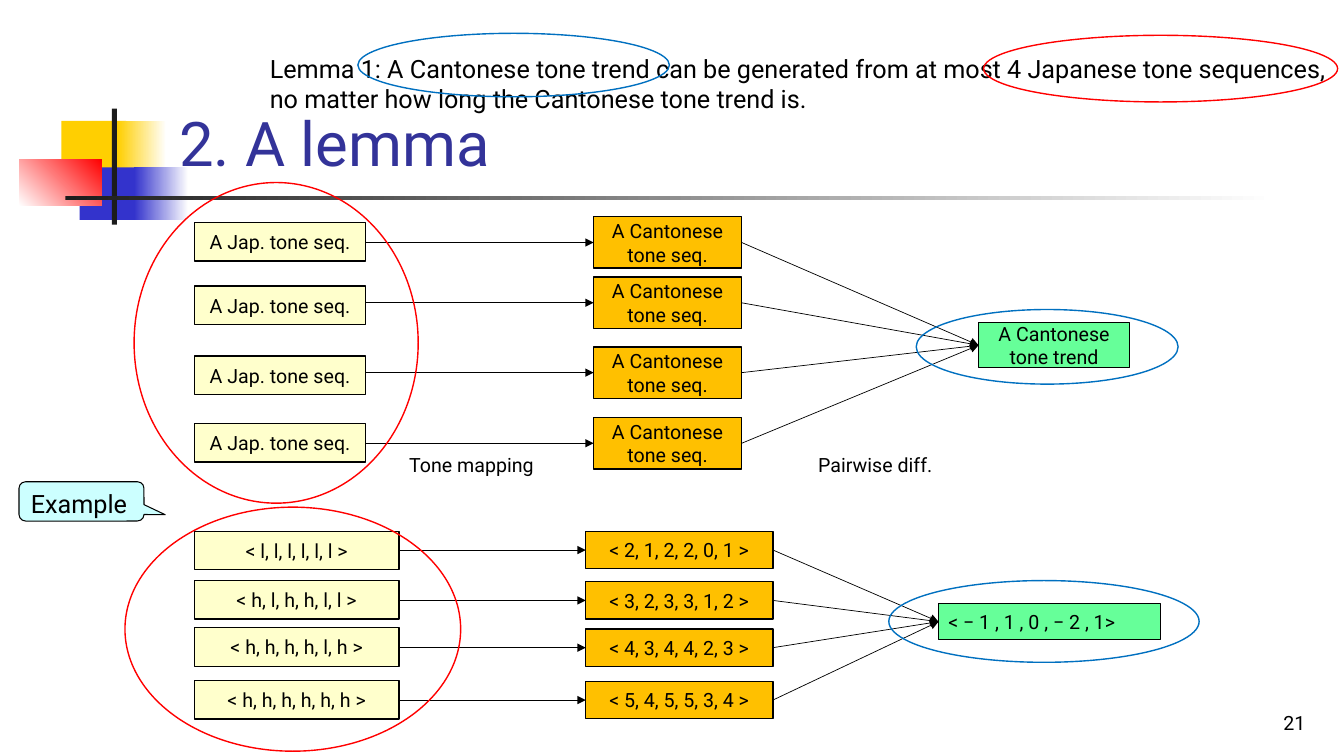
from dataclasses import dataclass
from lxml import etree
from pptx import Presentation
from pptx.dml.color import RGBColor
from pptx.enum.shapes import MSO_CONNECTOR, MSO_SHAPE
from pptx.enum.text import MSO_ANCHOR, PP_ALIGN
from pptx.oxml.ns import qn
from pptx.util import Cm, Pt

RECT, OVAL = MSO_SHAPE.RECTANGLE, MSO_SHAPE.OVAL
CALLOUT = MSO_SHAPE.ROUNDED_RECTANGULAR_CALLOUT
STRAIGHT = MSO_CONNECTOR.STRAIGHT
TOP, MIDDLE, BOTTOM = MSO_ANCHOR.TOP, MSO_ANCHOR.MIDDLE, MSO_ANCHOR.BOTTOM
LEFT, CENTER, RIGHT = PP_ALIGN.LEFT, PP_ALIGN.CENTER, PP_ALIGN.RIGHT


@dataclass(frozen=True)
class Theme:
    font: str = "Roboto"
    title: int = 44
    body: int = 18
    small: int = 14
    ink: str = "000000"
    head: str = "333399"
    white: str = "FFFFFF"
    dark: str = "1C1C1C"
    gold: str = "FFCF01"
    navy: str = "3333CC"
    red: str = "FF0000"
    blue: str = "0070C0"
    cream: str = "FFFFCC"
    amber: str = "FFC000"
    mint: str = "66FF99"
    aqua: str = "CCFFFF"


class Board:
    def __init__(self, slide, theme):
        self.slide = slide
        self.theme = theme

    def label(self, shape, text, size, color, align, anchor):
        frame = shape.text_frame
        frame.word_wrap = True
        frame.vertical_anchor = anchor
        frame.text = text
        para = frame.paragraphs[0]
        para.alignment = align
        font = para.runs[0].font
        font.name, font.size = self.theme.font, Pt(size)
        font.color.rgb = RGBColor.from_string(color)

    def text(self, area, text, size, color=None, align=LEFT, anchor=TOP):
        box = self.slide.shapes.add_textbox(*map(Cm, area))
        self.label(box, text, size, color or self.theme.ink, align, anchor)

    def shape(self, kind, area, fill=None, line=None, width=1):
        item = self.slide.shapes.add_shape(kind, *map(Cm, area))
        item.shadow.inherit = False
        if fill:
            item.fill.solid()
            item.fill.fore_color.rgb = RGBColor.from_string(fill)
        else:
            item.fill.background()
        if line:
            item.line.color.rgb = RGBColor.from_string(line)
            item.line.width = Pt(width)
        else:
            item.line.fill.background()
        return item

    def fade(self, area, start, end, angle=0):
        """Draw a bar whose fill runs from start to end, angle counterclockwise."""
        fill = self.shape(RECT, area).fill
        fill.gradient()
        fill.gradient_angle = angle
        for stop, color in zip(fill.gradient_stops, (start, end)):
            stop.color.rgb = RGBColor.from_string(color)

    def box(self, area, text, fill, align=CENTER):
        item = self.shape(RECT, area, fill, self.theme.ink)
        self.label(item, text, self.theme.small, self.theme.ink, align, MIDDLE)

    def callout(self, area, text, tip):
        item = self.shape(CALLOUT, area, self.theme.aqua, self.theme.ink, 0.75)
        item.adjustments[0], item.adjustments[1] = tip
        self.label(item, text, self.theme.body, self.theme.ink, LEFT, TOP)

    def arrow(self, start, end):
        link = self.slide.shapes.add_connector(STRAIGHT, *map(Cm, start + end))
        link.line.color.rgb = RGBColor.from_string(self.theme.ink)
        link.line.width = Pt(0.5)
        props = link._element.spPr
        tip = etree.SubElement(props.find(qn("a:ln")), qn("a:tailEnd"))
        tip.set("type", "triangle")
        etree.SubElement(props, qn("a:effectLst"))

    def flow(self, first, second, rows, goal, result, align=CENTER):
        """Map source boxes to tone boxes, which all lead to one result.

        first and second hold (left, width, height); a row holds
        (source top, tone top, source text, tone text).
        """
        x1, w1, h1 = first
        x2, w2, h2 = second
        end = (goal[0], goal[1] + goal[3] / 2)
        for y1, y2, source, tone in rows:
            self.box((x1, y1, w1, h1), source, self.theme.cream)
            self.box((x2, y2, w2, h2), tone, self.theme.amber)
            mid = y2 + h2 / 2
            self.arrow((x1 + w1, mid), (x2, mid))
            self.arrow((x2 + w2, mid), end)
        self.box(goal, result, self.theme.mint, align)


def main():
    deck = Presentation()
    deck.slide_width, deck.slide_height = Cm(33.87), Cm(19.05)
    theme = Theme()
    board = Board(deck.slides.add_slide(deck.slide_layouts[6]), theme)

    # Title decoration
    board.shape(RECT, (1.55, 3.05, 1.63, 1.32), theme.gold)
    board.fade((2.97, 3.05, 1.22, 1.32), theme.gold, theme.white)
    board.shape(RECT, (2.01, 4.22, 1.57, 1.32), theme.navy)
    board.fade((3.38, 4.22, 1.37, 1.32), theme.navy, theme.white)
    board.fade((0.48, 4.01, 2.08, 1.17), theme.white, theme.red, 45)
    board.shape(RECT, (2.82, 2.74, 0.13, 2.92), theme.dark)
    board.fade((1.65, 4.95, 30.48, 0.08), theme.dark, theme.white)

    board.text((4.27, 0.58, 28.85, 4.06), "2. A lemma", theme.title,
               theme.head, anchor=BOTTOM)
    board.text((26.09, 17.35, 7.06, 1.27), "21", theme.small,
               align=RIGHT, anchor=BOTTOM)
    board.text((6.55, 1.22, 27.31, 1.8),
               "Lemma 1: A Cantonese tone trend can be generated from at most "
               "4 Japanese tone sequences, no matter how long the Cantonese "
               "tone trend is.", theme.body)

    # General scheme
    tops = ((5.61, 5.46), (7.21, 6.98), (8.97, 8.74), (10.67, 10.52))
    names = ("A Jap. tone seq.", "A Cantonese tone seq.")
    board.flow((4.9, 4.32, 0.97), (14.96, 3.73, 1.3),
               [pair + names for pair in tops],
               (24.66, 8.13, 3.81, 1.14), "A Cantonese tone trend")
    board.text((10.06, 11.3, 4.6, 0.86), "Tone mapping", theme.small)
    board.text((20.37, 11.3, 3.45, 0.86), "Pairwise diff.", theme.small)

    # Worked example
    board.callout((0.48, 12.14, 3.15, 0.99), "Example", (0.67, 0.34))
    board.flow((4.9, 5.16, 0.97), (14.76, 4.72, 0.94), (
        (13.39, 13.39, "< l, l, l, l, l, l >", "< 2, 1, 2, 2, 0, 1 >"),
        (14.63, 14.66, "< h, l, h, h, l, l >", "< 3, 2, 3, 3, 1, 2 >"),
        (15.82, 15.85, "< h, h, h, h, l, h >", "< 4, 3, 4, 4, 2, 3 >"),
        (17.15, 17.17, "< h, h, h, h, h, h >", "< 5, 4, 5, 5, 3, 4 >"),
    ), (23.65, 15.21, 5.59, 0.91), "< − 1 , 1 , 0 , − 2 , 1>", LEFT)

    # Rings: blue for the trend, red for the sequences
    rings = {
        theme.blue: ((9.02, 0.84, 7.85, 1.6), (23.09, 7.8, 6.6, 1.88),
                     (22.4, 14.63, 7.82, 2.06)),
        theme.red: ((3.38, 4.6, 7.16, 8.08), (3.15, 12.78, 8.46, 6.15),
                    (24.79, 0.89, 8.92, 1.68)),
    }
    for color, areas in rings.items():
        for area in areas:
            board.shape(OVAL, area, line=color)

    deck.save("out.pptx")


if __name__ == "__main__":
    main()
